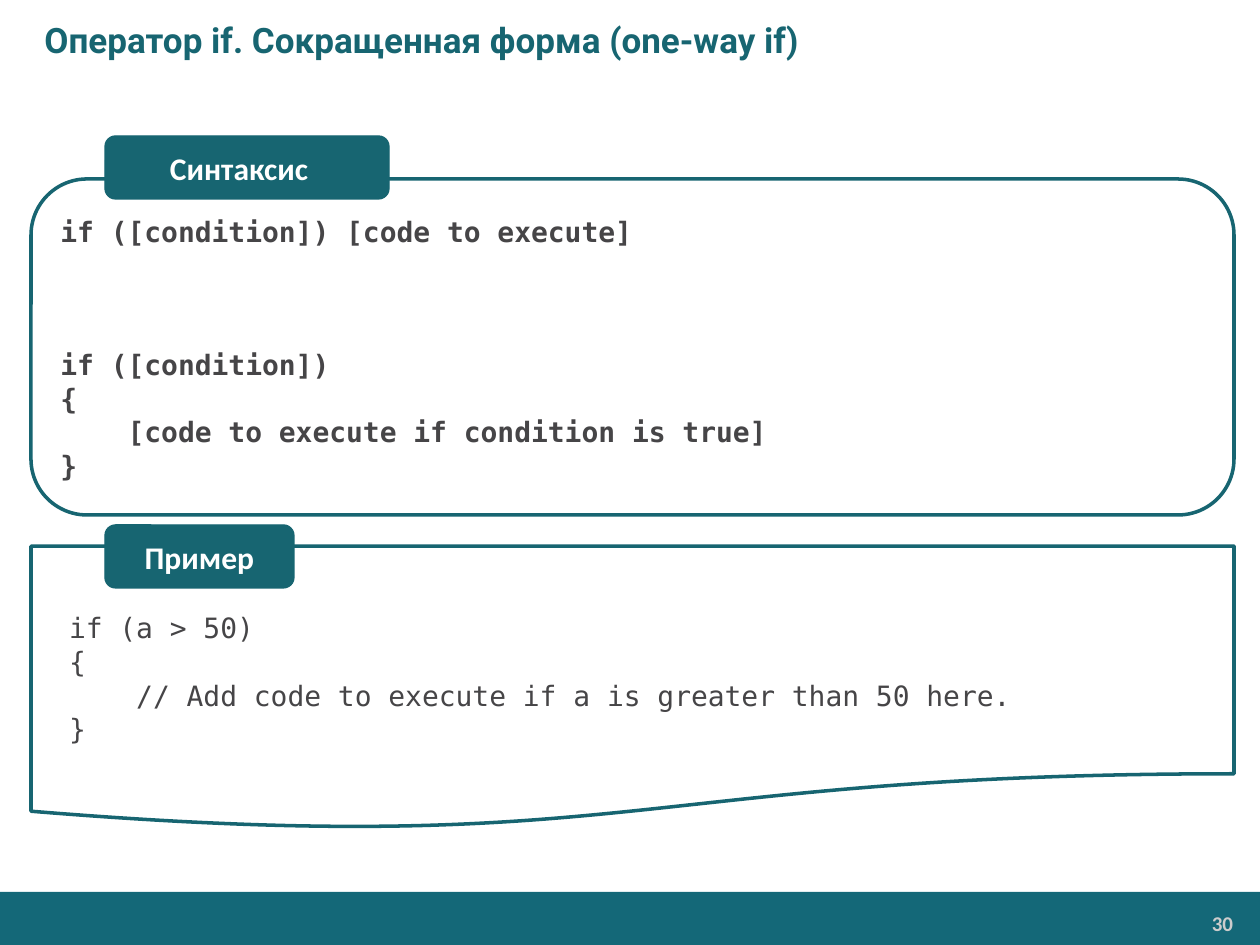
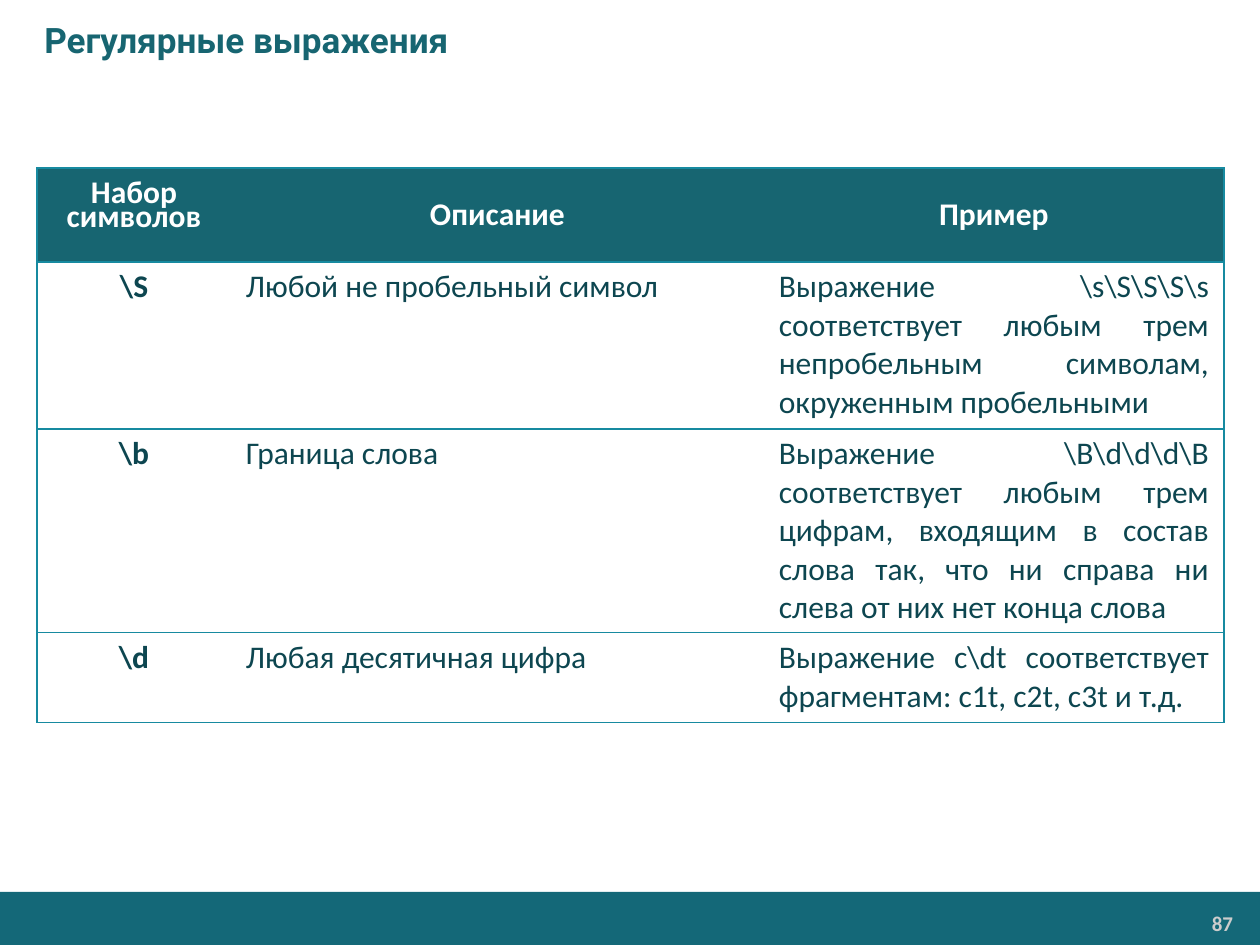
from dataclasses import dataclass

from lxml.etree import SubElement
from pptx import Presentation
from pptx.dml.color import RGBColor
from pptx.enum.shapes import MSO_SHAPE
from pptx.enum.text import MSO_ANCHOR, PP_ALIGN
from pptx.oxml import parse_xml
from pptx.oxml.ns import nsdecls, qn
from pptx.util import Pt

SCALE = 914400 / 126


@dataclass(frozen=True)
class Theme:
    teal: str = "176571"
    band: str = "146878"
    rule: str = "178AA0"
    ink: str = "0D4650"
    code: str = "464547"
    pale: str = "CCCCCC"
    white: str = "FFFFFF"
    head: str = "Roboto"
    body: str = "Calibri"
    mono: str = "DejaVu Sans Mono"
    title_size: int = 20
    body_size: int = 18
    code_size: int = 16
    page_size: int = 12


T = Theme()


def px(n):
    return round(n * SCALE)


def color(name):
    return RGBColor.from_string(name)


def inset(target, left, top, right, bottom):
    """Set the margins of a text frame or a table cell."""
    target.margin_left, target.margin_top = px(left), px(top)
    target.margin_right, target.margin_bottom = px(right), px(bottom)


def write(frame, lines, font, size, tint, bold=False, align=PP_ALIGN.LEFT, indent=0):
    """Fill a frame with one paragraph per line."""
    for i, line in enumerate(lines):
        para = frame.add_paragraph() if i else frame.paragraphs[0]
        para.alignment = align
        if indent:
            props = para._p.get_or_add_pPr()
            props.set("marL", str(px(indent)))
            props.set("indent", "0")
        run = para.add_run()
        run.text = line
        run.font.name = font
        run.font.size = Pt(size)
        run.font.bold = bold
        run.font.color.rgb = color(tint)


def add_box(slide, kind, box, fill, line=None, width=1):
    shape = slide.shapes.add_shape(kind, *map(px, box))
    shape.shadow.inherit = False
    shape.fill.solid()
    shape.fill.fore_color.rgb = color(fill)
    if line:
        shape.line.color.rgb = color(line)
        shape.line.width = Pt(width)
    else:
        shape.line.fill.background()
    return shape


def add_label(slide, box, anchor, *text, **style):
    frame = slide.shapes.add_textbox(*map(px, box)).text_frame
    frame.word_wrap = True
    frame.vertical_anchor = anchor
    write(frame, *text, **style)
    return frame


def add_slide(deck, title, page):
    """Add a blank slide with the shared title, band and page number."""
    slide = deck.slides.add_slide(deck.slide_layouts[6])
    add_box(slide, MSO_SHAPE.RECTANGLE, (0, 892, 1260, 53), T.band)
    frame = add_label(slide, (1037, 906, 205, 35), MSO_ANCHOR.TOP, [str(page)],
                      T.body, T.page_size, T.pale, bold=True, align=PP_ALIGN.RIGHT)
    inset(frame, 9, 5, 9, 5)
    add_label(slide, (0, 0, 1260, 79), MSO_ANCHOR.MIDDLE, [title],
              T.head, T.title_size, T.teal, bold=True, indent=32)
    return slide


def add_panel(slide, kind, top, height, lines, pad, bold=False, indent=0):
    """Add an outlined panel of code, its text starting pad below the top."""
    shape = add_box(slide, kind, (31, top, 1203, height), T.white, T.teal, 2)
    frame = shape.text_frame
    frame.word_wrap = True
    frame.vertical_anchor = MSO_ANCHOR.TOP
    inset(frame, 13, pad, 13, 6)
    write(frame, lines, T.mono, T.code_size, T.code, bold, indent=indent)
    return frame


def add_tag(slide, top, width, text, right=13):
    box = (105, top, width, 63)
    shape = add_box(slide, MSO_SHAPE.ROUNDED_RECTANGLE, box, T.teal, T.teal, 0.75)
    frame = shape.text_frame
    frame.word_wrap = True
    frame.vertical_anchor = MSO_ANCHOR.MIDDLE
    inset(frame, 13, 6, right, 6)
    write(frame, [text], T.body, T.body_size, T.white, True, PP_ALIGN.CENTER)


def set_edges(cell, shown):
    """Rule the sides of a cell named in shown and clear the others."""
    props = cell._tc.get_or_add_tcPr()
    for i, side in enumerate("LRTB"):
        edge = parse_xml(f'<a:ln{side} {nsdecls("a")} w="9525"/>')
        if side in shown:
            fill = SubElement(edge, qn("a:solidFill"))
            SubElement(fill, qn("a:srgbClr")).set("val", T.rule)
        else:
            SubElement(edge, qn("a:noFill"))
        props.insert(i, edge)


def add_grid(slide, left, top, widths, heights, rows):
    size = map(px, (left, top, sum(widths), sum(heights)))
    table = slide.shapes.add_table(len(rows), len(widths), *size).table
    for col, width in zip(table.columns, widths):
        col.width = px(width)
    for row, height in zip(table.rows, heights):
        row.height = px(height)
    last = len(widths) - 1
    for r, row in enumerate(rows):
        for c, text in enumerate(row):
            cell = table.cell(r, c)
            inset(cell, 15, 6, 15, 6)
            head = r == 0
            if head:
                cell.fill.solid()
                cell.fill.fore_color.rgb = color(T.teal)
                cell.vertical_anchor = MSO_ANCHOR.MIDDLE
            else:
                cell.fill.background()
            align = PP_ALIGN.CENTER if head or c == 0 else PP_ALIGN.JUSTIFY
            write(cell.text_frame, text.split("\n"), T.body, T.body_size,
                  T.white if head else T.ink, head or c == 0, align)
            set_edges(cell, "TB" + "L" * (c == 0) + "R" * (c == last))
    return table


def tighten(cell):
    """Set the lines of a two-line heading close together."""
    inset(cell, 11, 0, 11, 0)
    for i, para in enumerate(cell.text_frame.paragraphs):
        para.line_spacing = Pt(10)
        para.space_after = Pt(2)
        if i:
            para.space_before = Pt(2)


def build_if(deck):
    slide = add_slide(deck, "Оператор if. Сокращенная форма (one-way if)", 30)
    syntax = add_panel(slide, MSO_SHAPE.ROUNDED_RECTANGLE, 179, 336, [
        "if ([condition]) [code to execute]",
        "if ([condition])",
        "{",
        "    [code to execute if condition is true]",
        "}",
    ], pad=19, bold=True)
    syntax.paragraphs[1].space_before = Pt(57)
    add_tag(slide, 136, 284, "Cинтаксис", right=29)
    add_panel(slide, MSO_SHAPE.FLOWCHART_DOCUMENT, 546, 284, [
        "if (a > 50)",
        "{",
        "    // Add code to execute if a is greater than 50 here.",
        "}",
    ], pad=65, indent=25)
    add_tag(slide, 525, 189, "Пример")


def build_regex(deck):
    slide = add_slide(deck, "Регулярные выражения", 87)
    table = add_grid(slide, 37, 168, (194, 533, 460), (94, 167, 204, 90), [
        ("Набор\nсимволов", "Описание", "Пример"),
        (r"\S", "Любой не пробельный символ",
         r"Выражение \s\S\S\S\s соответствует любым трем непробельным "
         "символам, окруженным пробельными"),
        (r"\b", "Граница слова",
         r"Выражение \B\d\d\d\B соответствует любым трем цифрам, входящим "
         "в состав слова так, что ни справа ни слева от них нет конца слова"),
        (r"\d", "Любая десятичная цифра",
         r"Выражение c\dt соответствует фрагментам: c1t, c2t, c3t и т.д."),
    ])
    tighten(table.cell(0, 0))


def main():
    deck = Presentation()
    deck.slide_width, deck.slide_height = px(1260), px(945)
    build_if(deck)
    build_regex(deck)
    deck.save("out.pptx")


if __name__ == "__main__":
    main()
